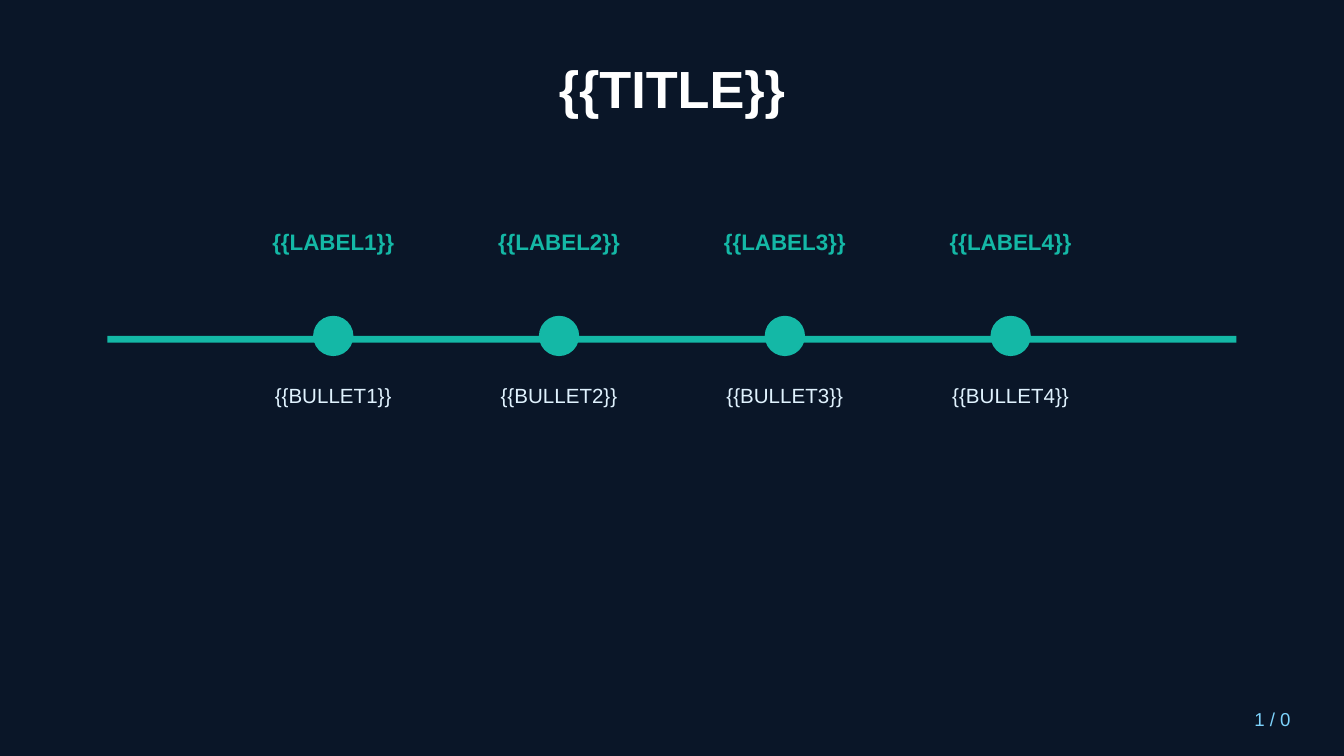
"""Build a four-step timeline slide on a dark background."""
from dataclasses import dataclass

from pptx import Presentation
from pptx import util as u
from pptx.dml.color import RGBColor
from pptx.enum import shapes, text


@dataclass(frozen=True)
class Theme:
    font: str = "Arial"
    background: str = "0A1628"
    accent: str = "14B8A6"
    title: str = "FFFFFF"
    body: str = "E0F2FE"
    footer: str = "7DD3FC"
    title_size: int = 28
    label_size: int = 12
    body_size: int = 11
    footer_size: int = 10


class TimelineSlide:
    def __init__(self, prs, theme):
        self.theme = theme
        self.s = prs.slides.add_slide(prs.slide_layouts[6])
        fill = self.s.background.fill
        fill.solid()
        fill.fore_color.rgb = RGBColor.from_string(theme.background)

    def shape(self, kind, x, y, w, h):
        sp = self.s.shapes.add_shape(kind, *map(u.Inches, (x, y, w, h)))
        sp.shadow.inherit = False
        sp.fill.solid()
        sp.fill.fore_color.rgb = RGBColor.from_string(self.theme.accent)
        sp.line.fill.background()

    def text(self, words, x, y, w, h, size, color, bold=False,
             align=text.PP_ALIGN.CENTER, anchor=text.MSO_ANCHOR.MIDDLE):
        tf = self.s.shapes.add_textbox(*map(u.Inches, (x, y, w, h))).text_frame
        tf.word_wrap = True
        tf.vertical_anchor = anchor
        tf.text = words
        p = tf.paragraphs[0]
        p.alignment = align
        font = p.runs[0].font
        font.name = self.theme.font
        font.size = u.Pt(size)
        font.bold = bold
        font.color.rgb = RGBColor.from_string(color)

    def timeline(self, x, y, width, steps):
        t = self.theme
        gap = width / (len(steps) + 1)
        dot, column = 0.3, 2
        self.shape(shapes.MSO_SHAPE.RECTANGLE, x, y, width, 0.05)
        for i, (label, bullet) in enumerate(steps, 1):
            center = x + i * gap
            left = center - column / 2
            self.shape(shapes.MSO_SHAPE.OVAL, center - dot / 2, y - dot / 2, dot, dot)
            self.text(label, left, y - 1, column, 0.6, t.label_size, t.accent, bold=True)
            self.text(bullet, left, y + 0.3, column, 1.5, t.body_size, t.body,
                      anchor=text.MSO_ANCHOR.TOP)


def main():
    prs = Presentation()
    prs.slide_width = u.Inches(10)
    prs.slide_height = u.Inches(10 * 9 / 16)
    theme = Theme()
    slide = TimelineSlide(prs, theme)
    slide.text("{{TITLE}}", 0.5, 0.3, 9, 0.7, theme.title_size, theme.title, bold=True)
    steps = [
        ("{{LABEL1}}", "{{BULLET1}}"),
        ("{{LABEL2}}", "{{BULLET2}}"),
        ("{{LABEL3}}", "{{BULLET3}}"),
        ("{{LABEL4}}", "{{BULLET4}}"),
    ]
    slide.timeline(0.8, 2.5, 8.4, steps)
    slide.text("1 / 0", 8.5, 5.2, 1.2, 0.3, theme.footer_size, theme.footer,
               align=text.PP_ALIGN.RIGHT)
    prs.save("out.pptx")


if __name__ == "__main__":
    main()
